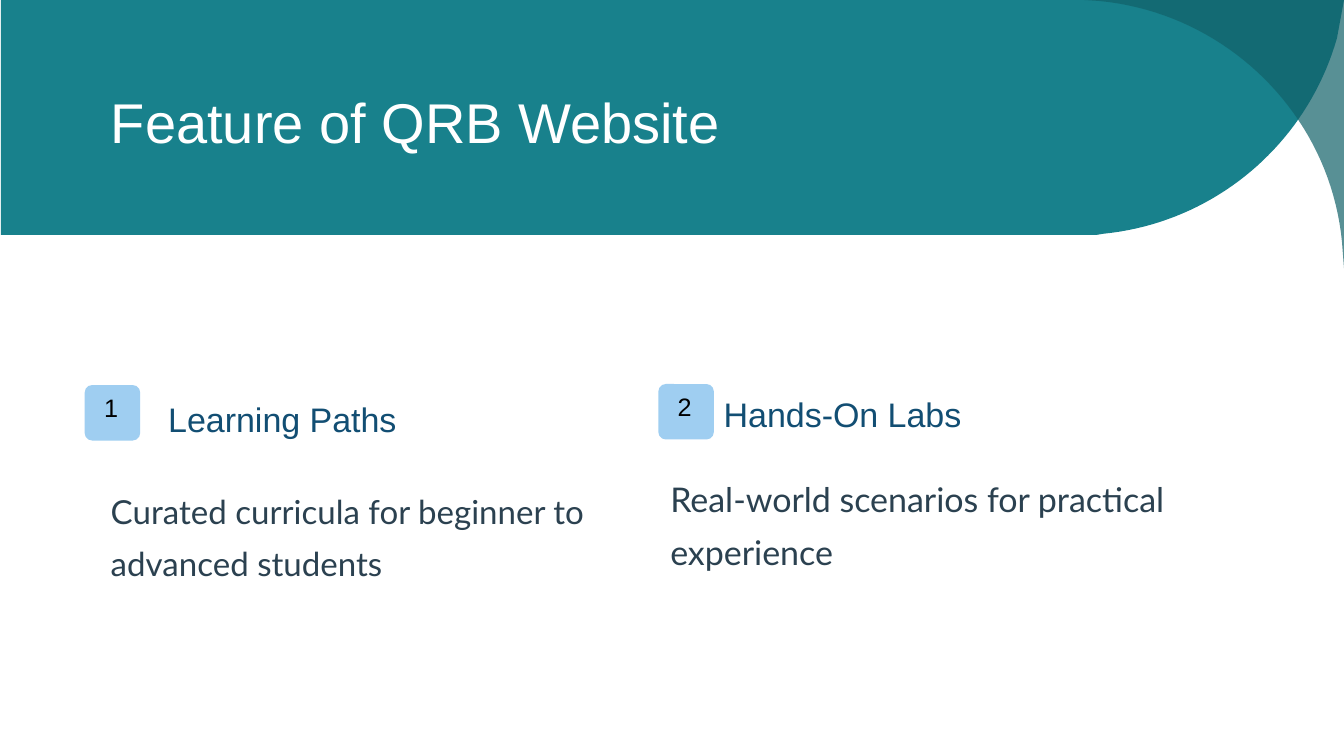
from pptx import Presentation
from pptx.dml.color import RGBColor
from pptx.enum.shapes import MSO_SHAPE
from pptx.enum.text import MSO_ANCHOR, PP_ALIGN
from pptx.oxml.ns import qn
from pptx.util import Inches, Pt
from lxml import etree

ROUND = MSO_SHAPE.ROUNDED_RECTANGLE
TOP, MIDDLE = MSO_ANCHOR.TOP, MSO_ANCHOR.MIDDLE
LEFT = PP_ALIGN.LEFT

WHITE = RGBColor(0xFF, 0xFF, 0xFF)
BLACK = RGBColor(0, 0, 0)
TEAL = RGBColor(0x18, 0x81, 0x8C)
DEEP = RGBColor(0x12, 0x61, 0x69)
NAVY = RGBColor(0x12, 0x4E, 0x73)
SLATE = RGBColor(0x2B, 0x41, 0x50)
SKY = RGBColor(0x9F, 0xCE, 0xF1)


def curve(a, b, c, d, steps=40):
    """Return points along a cubic Bezier curve from a to d."""
    points = []
    for i in range(steps + 1):
        t = i / steps
        u = 1 - t
        points.append(tuple(
            u**3 * p + 3 * u * u * t * q + 3 * u * t * t * r + t**3 * s
            for p, q, r, s in zip(a, b, c, d)))
    return points


class Deck:
    head = "Arial"
    body = "Lato"

    def __init__(self):
        self.show = Presentation()
        self.show.slide_width = Inches(13.33)
        self.show.slide_height = Inches(7.5)
        self.slide = self.show.slides.add_slide(self.show.slide_layouts[5])
        self.shapes = self.slide.shapes
        fill = self.slide.background.fill
        fill.solid()
        fill.fore_color.rgb = WHITE

    def paint(self, shape, color):
        shape.fill.solid()
        shape.fill.fore_color.rgb = color
        shape.line.fill.background()
        shape.shadow.inherit = False

    def label(self, shape, text, size, font, color, lead=None, anchor=TOP):
        """Put formatted text into a shape."""
        frame = shape.text_frame
        frame.word_wrap = True
        frame.vertical_anchor = anchor
        frame.text = text
        para = frame.paragraphs[0]
        para.alignment = LEFT
        para.font.size = Pt(size)
        para.font.name = font
        para.font.color.rgb = color
        if lead:
            para.line_spacing = Pt(lead)
            para.space_after = Pt(6)

    def outline(self, points, color, alpha=None):
        """Draw a closed shape; alpha is its opacity in percent."""
        spots = [(Inches(x), Inches(y)) for x, y in points]
        maker = self.shapes.build_freeform(*spots[0])
        maker.add_line_segments(spots[1:])
        shape = maker.convert_to_shape()
        self.paint(shape, color)
        if alpha:
            tint = shape._element.spPr.find(".//" + qn("a:srgbClr"))
            etree.SubElement(tint, qn("a:alpha"), val=str(alpha * 1000))

    def title(self, text, x, y, w, h):
        shape = self.shapes.title
        shape.left, shape.top = Inches(x), Inches(y)
        shape.width, shape.height = Inches(w), Inches(h)
        self.label(shape, text, 40, self.head, WHITE, anchor=MIDDLE)
        # Bring the title in front of the banner
        self.shapes._spTree.append(shape._element)

    def text(self, text, x, y, w, h, size, font, color, lead):
        box = self.shapes.add_textbox(
            Inches(x), Inches(y), Inches(w), Inches(h))
        self.label(box, text, size, font, color, lead)

    def badge(self, text, x, y, side=0.55):
        shape = self.shapes.add_shape(
            ROUND, Inches(x), Inches(y), Inches(side), Inches(side))
        shape.adjustments[0] = 0.133
        self.paint(shape, SKY)
        self.label(shape, text, 18, self.head, BLACK)
        shape.text_frame.margin_left = Inches(0.17)

    def feature(self, mark, name, note, size):
        """Draw a numbered feature; name and note are (text, x, y, w, h)."""
        self.text(*name, 24.3, self.head, NAVY, 36.9)
        self.text(*note, size, self.body, SLATE, 37.8)
        self.badge(*mark)


def main():
    deck = Deck()
    deck.outline(
        [(13.33, 0), (0.01, 0), (0.01, 2.33), (10.88, 2.33)]
        + curve((10.94, 2.32), (12.05, 2.21), (12.96, 1.43), (13.26, 0.38)),
        TEAL)
    deck.outline(
        [(10.75, 0), (13.33, 0), (13.33, 2.66)]
        + curve((13.31, 2.4), (13.19, 1.14), (12.17, 0.13), (10.9, 0.01)),
        DEEP, 70)
    deck.title("Feature of QRB Website", 1, 0.49, 10.84, 1.42)
    deck.feature(
        ("1", 0.84, 3.82),
        ("Learning Paths", 1.57, 3.8, 2.62, 0.57),
        ("Curated curricula for beginner to advanced students",
         1, 4.69, 5.67, 1.05), 23.6)
    deck.feature(
        ("2", 6.53, 3.81),
        ("Hands-On Labs", 7.08, 3.75, 2.94, 0.58),
        ("Real-world scenarios for practical experience",
         6.55, 4.58, 5.79, 1.16), 24.3)
    deck.show.save("out.pptx")


if __name__ == "__main__":
    main()
